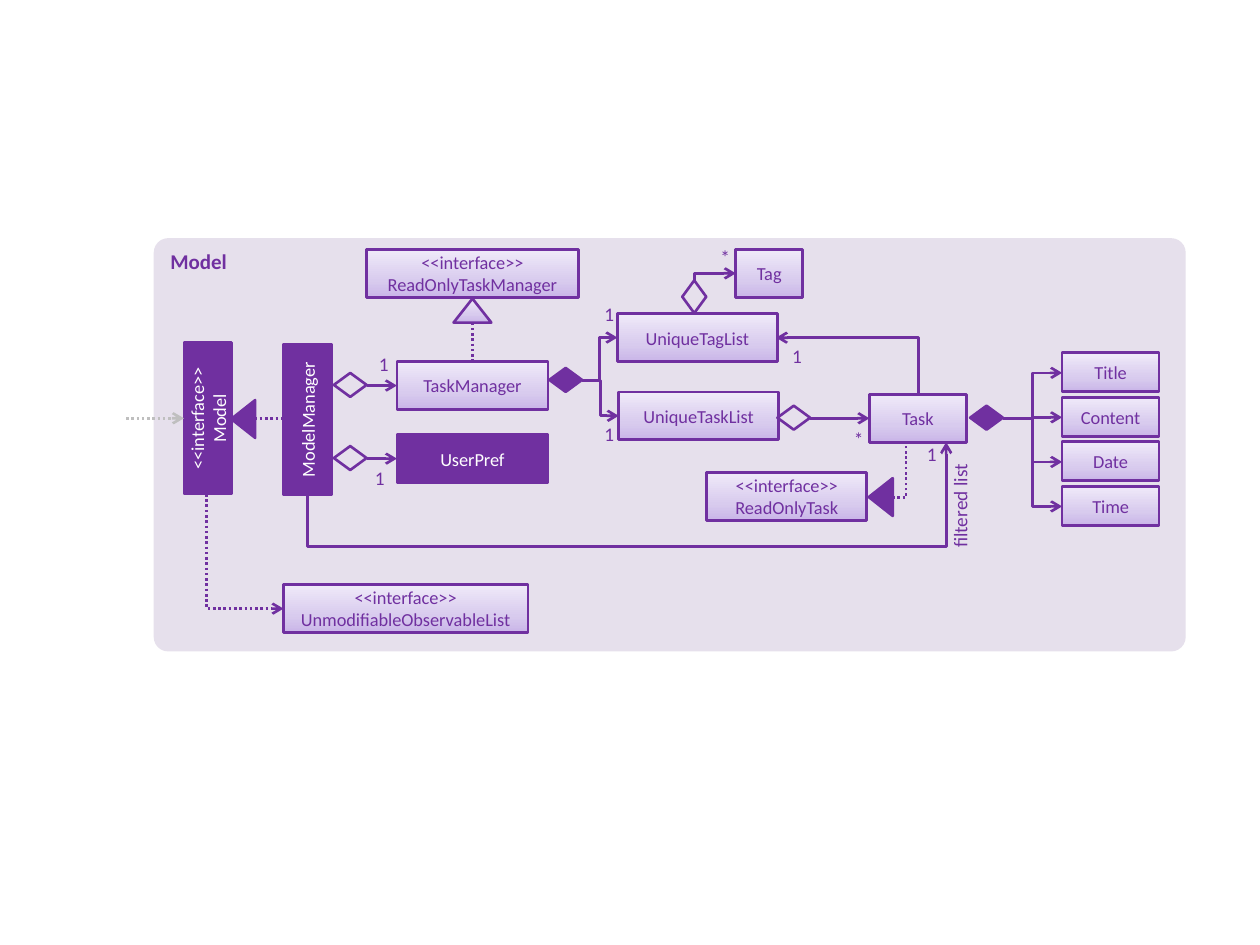
from dataclasses import dataclass
from typing import Any

from lxml.etree import SubElement
from pptx import Presentation
from pptx.dml.color import RGBColor
from pptx.enum.dml import MSO_LINE
from pptx.enum.shapes import MSO_CONNECTOR, MSO_SHAPE
from pptx.enum.text import MSO_ANCHOR, PP_ALIGN
from pptx.oxml.ns import qn
from pptx.util import Inches, Pt

PURPLE = RGBColor(0x70, 0x30, 0xA0)
PANEL = RGBColor(0xE6, 0xE0, 0xEC)
GREY = RGBColor(0xBF, 0xBF, 0xBF)
WHITE = RGBColor(0xFF, 0xFF, 0xFF)
LILAC_STOPS = ((0, RGBColor(0xC9, 0xB5, 0xE8)),
               (35, RGBColor(0xD8, 0xCB, 0xEE)),
               (100, RGBColor(0xF0, 0xEA, 0xF9)))
LILAC = "gradient"

NODE_H = 0.38
LIST_W = 1.27
MANAGER_W = 1.2
TASK_W = 0.77
NODE_FONT = {"name": "Calibri", "size": Pt(10.5)}
LABEL_FONT = {"name": "Calibri", "size": Pt(11)}
PANEL_FONT = {"name": "Calibri", "size": Pt(12), "bold": True}


def write(frame, text, font_values, color, align):
    frame.text = text
    for paragraph in frame.paragraphs:
        paragraph.alignment = align
        for run in paragraph.runs:
            for key, value in font_values.items():
                setattr(run.font, key, value)
            run.font.color.rgb = color


def paint(shape, fill):
    if fill is None:
        shape.fill.background()
    elif fill == LILAC:
        shape.fill.gradient()
        shape.fill.gradient_angle = 90  # darkest stop at the bottom
        stops = shape._element.spPr.find(qn("a:gradFill")).find(qn("a:gsLst"))
        for stop in list(stops):
            stops.remove(stop)
        for percent, color in LILAC_STOPS:
            stop = SubElement(stops, qn("a:gs"), pos=str(percent * 1000))
            SubElement(stop, qn("a:srgbClr"), val=str(color))
    else:
        shape.fill.solid()
        shape.fill.fore_color.rgb = fill


@dataclass
class Region:
    """Draws UML parts relative to its own top left corner, in inches."""
    shapes: Any
    left: float
    top: float

    def place(self, x, y):
        return Inches(self.left + x), Inches(self.top + y)

    def outline(self, kind, x, y, width, height, fill, rotation=0):
        shape = self.shapes.add_shape(kind, *self.place(x, y), Inches(width), Inches(height))
        shape.rotation = rotation
        shape.shadow.inherit = False
        paint(shape, fill)
        shape.line.color.rgb = PURPLE
        shape.line.width = Pt(1.5)
        return shape

    def node(self, text, x, y, width, height=NODE_H, fill=LILAC, rotation=0):
        box = self.outline(MSO_SHAPE.RECTANGLE, x, y, width, height, fill, rotation)
        color = PURPLE if fill == LILAC else WHITE
        write(box.text_frame, text, NODE_FONT, color, PP_ALIGN.CENTER)
        box.text_frame.vertical_anchor = MSO_ANCHOR.MIDDLE

    def diamond(self, x, y, fill=None, rotation=0):
        self.outline(MSO_SHAPE.FLOWCHART_DECISION, x, y, 0.26, 0.19, fill, rotation)

    def triangle(self, x, y, fill=PURPLE, rotation=270):
        self.outline(MSO_SHAPE.ISOSCELES_TRIANGLE, x, y, 0.3, 0.19, fill, rotation)

    def label(self, text, x, y):
        box = self.shapes.add_textbox(*self.place(x, y), Inches(0.21), Inches(0.2))
        frame = box.text_frame
        frame.word_wrap = True
        for side in ("left", "top", "right", "bottom"):
            setattr(frame, f"margin_{side}", 0)
        write(frame, text, LABEL_FONT, PURPLE, PP_ALIGN.CENTER)

    def link(self, start, end, kind=MSO_CONNECTOR.STRAIGHT, color=PURPLE,
             dotted=False, arrow=True):
        connector = self.shapes.add_connector(kind, *self.place(*start), *self.place(*end))
        connector.line.color.rgb = color
        connector.line.width = Pt(1.5)
        if dotted:
            connector.line.dash_style = MSO_LINE.ROUND_DOT
        if arrow:
            SubElement(connector.line._get_or_add_ln(), qn("a:tailEnd"), type="arrow")
        SubElement(connector._element.spPr, qn("a:effectLst"))
        return connector

    def elbow(self, start, end):
        self.link(start, end, MSO_CONNECTOR.ELBOW)

    def corner(self, start, end, preset="bentConnector2", vertical_first=True,
               adjustments=(), **style):
        if vertical_first:  # a quarter turn about the middle of the link
            (x1, y1), (x2, y2) = start, end
            mid_x, mid_y = (x1 + x2) / 2, (y1 + y2) / 2
            half_x, half_y = (y2 - y1) / 2, (x1 - x2) / 2
            start = mid_x - half_x, mid_y - half_y
            end = mid_x + half_x, mid_y + half_y
        connector = self.link(start, end, MSO_CONNECTOR.ELBOW, **style)
        properties = connector._element.spPr
        if vertical_first:
            properties.find(qn("a:xfrm")).set("rot", str(90 * 60000))
        geometry = properties.find(qn("a:prstGeom"))
        geometry.set("prst", preset)
        guides = geometry.find(qn("a:avLst"))
        for number, share in enumerate(adjustments, 1):
            SubElement(guides, qn("a:gd"), name=f"adj{number}",
                       fmla=f"val {round(share * 100000)}")


def add_panel(shapes, left, top, width, height):
    panel = Region(shapes, left, top).outline(
        MSO_SHAPE.ROUNDED_RECTANGLE, 0, 0, width, height, PANEL)
    panel.adjustments[0] = 0.035
    panel.line.fill.background()
    write(panel.text_frame, "Model", PANEL_FONT, PURPLE, PP_ALIGN.LEFT)
    panel.text_frame.vertical_anchor = MSO_ANCHOR.TOP


def add_model_api(region):
    # Filtered list, from the manager to the task
    region.corner((1.44, 1.22), (6.51, 0.81), "bentConnector4", adjustments=(-1.02, 1))
    # Interface and its implementation
    region.node("ModelManager", 0.84, 0.44, MANAGER_W, fill=PURPLE, rotation=270)
    region.node("<<interface>>\nModel", 0.05, 0.43, MANAGER_W, fill=PURPLE, rotation=270)
    region.triangle(0.78, 0.53)
    region.link((0, 0.62), (0.46, 0.62), color=GREY, dotted=True)
    region.link((1.02, 0.62), (1.26, 0.62), dotted=True, arrow=False)
    # Observable list
    region.node("<<interface>>\vUnmodifiableObservableList", 1.25, 1.94, 1.94)
    region.corner((0.64, 1.22), (1.25, 2.13), dotted=True)


def add_managers(region):
    for name, y, fill, label_at in (("TaskManager", 0.89, LILAC, (0.29, 0.82)),
                                    ("UserPref", 1.47, PURPLE, (0.26, 1.72))):
        region.node(name, 0.5, y, MANAGER_W, fill=fill)
        region.diamond(0, y + 0.09)
        region.link((0.26, y + 0.19), (0.5, y + 0.19))
        region.label("1", *label_at)
    # Read-only interface
    region.link((1.1, 0.58), (1.1, 0.9), dotted=True, arrow=False)
    region.triangle(0.95, 0.39, fill=LILAC, rotation=0)
    region.node("<<interface>>\vReadOnlyTaskManager", 0.26, 0, 1.68)


def add_unique_lists(region):
    region.diamond(0, 0.97, fill=PURPLE)
    for name, x, y, label_y in (("UniqueTagList", 0.54, 0.54, 0.45),
                                ("UniqueTaskList", 0.55, 1.16, 1.4)):
        region.node(name, x, y, LIST_W)
        region.elbow((0.26, 1.07), (x, y + NODE_H / 2))
        region.label("1", 0.37, label_y)
    # Tags held by the tag list
    region.node("Tag", 1.48, 0.03, 0.53)
    region.diamond(1.02, 0.31, rotation=270)
    region.corner((1.15, 0.28), (1.48, 0.22))
    region.label("*", 1.29, 0)
    # Tasks held by the task list
    region.diamond(1.81, 1.27)
    region.link((2.07, 1.37), (2.54, 1.37))


def add_task(region):
    region.corner((1.47, 1.27), (1.58, 0.81), vertical_first=False, dotted=True, arrow=False)
    region.triangle(1.23, 1.17)
    region.node("Task", 1.29, 0.45, TASK_W)
    region.node("<<interface>>\vReadOnlyTask", 0, 1.07, LIST_W)
    region.corner((1.68, 0.45), (0.55, 0))
    for text, x, y in (("1", 0.61, 0.05), ("*", 1.1, 0.71), ("1", 1.68, 0.83)):
        region.label(text, x, y)
    caption = region.shapes.add_textbox(*region.place(1.53, 1.24), Inches(0.96), Inches(0.29))
    caption.rotation = 270
    caption.text_frame.word_wrap = True
    write(caption.text_frame, "filtered list", LABEL_FONT, PURPLE, PP_ALIGN.RIGHT)


def add_task_fields(region):
    region.diamond(0, 0.42, fill=PURPLE)
    for row, name in enumerate(("Title", "Content", "Date", "Time")):
        y = row * 0.353
        region.node(name, 0.73, y, TASK_W, 0.31)
        region.elbow((0.26, 0.52), (0.73, y + 0.16))


def main():
    presentation = Presentation()
    presentation.slide_width, presentation.slide_height = Inches(10), Inches(7.5)
    shapes = presentation.slides.add_slide(presentation.slide_layouts[6]).shapes
    add_panel(shapes, 1.22, 1.89, 8.19, 3.28)
    for add_region, left, top in ((add_model_api, 1, 2.7), (add_managers, 2.65, 1.98),
                                  (add_unique_lists, 4.36, 1.95), (add_task, 5.61, 2.68),
                                  (add_task_fields, 7.7, 2.8)):
        add_region(Region(shapes, left, top))
    presentation.save("out.pptx")


if __name__ == "__main__":
    main()
